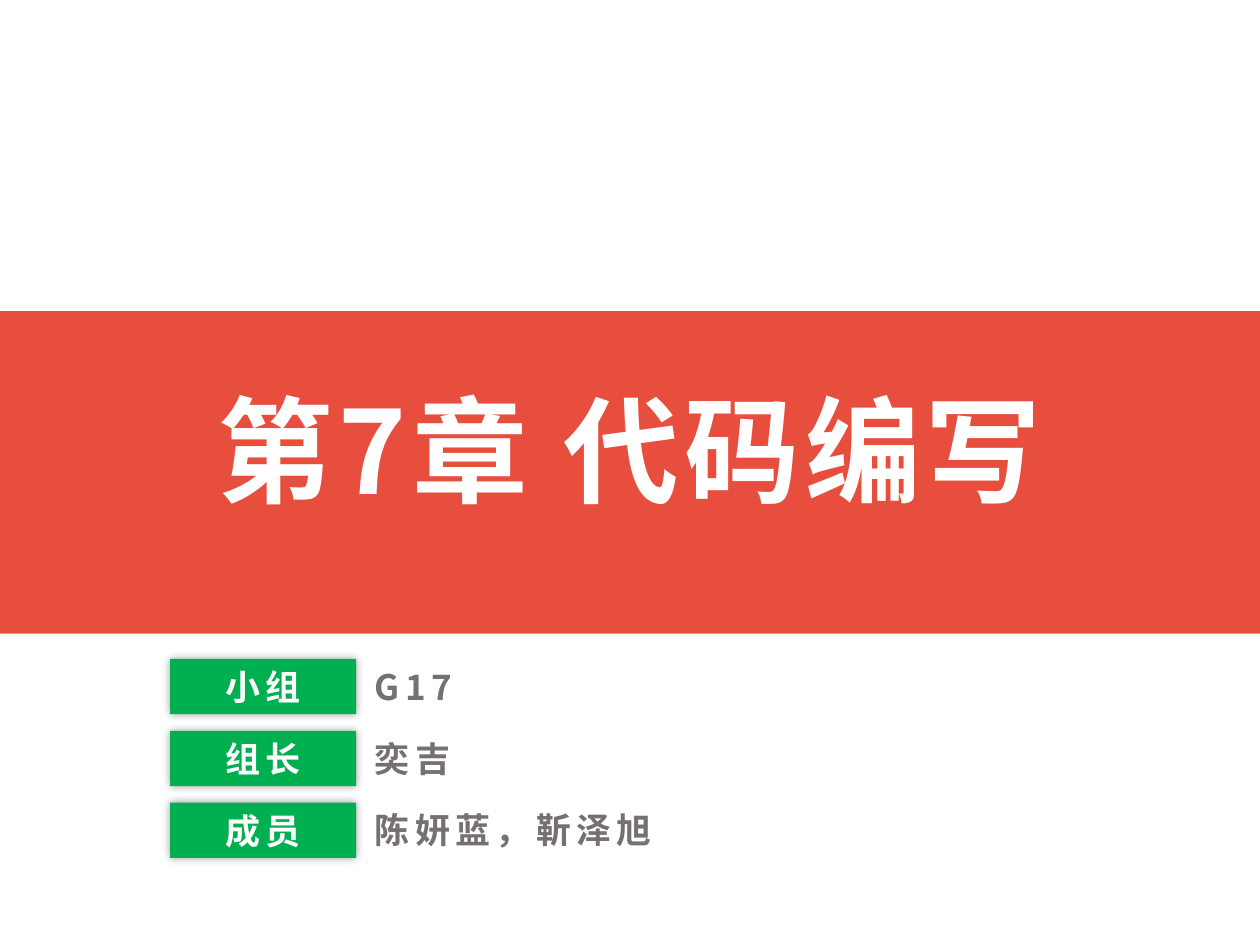
from lxml.etree import SubElement
from pptx import Presentation
from pptx.dml.color import RGBColor
from pptx.enum.shapes import MSO_SHAPE
from pptx.enum.text import MSO_ANCHOR, MSO_AUTO_SIZE, PP_ALIGN
from pptx.oxml.ns import qn
from pptx.util import Inches, Pt

COLORS = {
    "band": "E74E3E",
    "label": "00B050",
    "light": "FFFFFF",
    "value": "767171",
    "shadow": "000000",
}
FONT = "Noto Sans CJK SC"
TEAM = [("小组", "G17"), ("组长", "奕吉"), ("成员", "陈妍蓝，靳泽旭")]


def write(frame, text, size, color, align, anchor=MSO_ANCHOR.TOP):
    frame.text = text
    frame.word_wrap = True
    frame.auto_size = MSO_AUTO_SIZE.NONE
    frame.vertical_anchor = anchor
    paragraph = frame.paragraphs[0]
    paragraph.alignment = align
    font = paragraph.runs[0].font
    font.name = FONT
    font.size = Pt(size)
    font.bold = True
    font.color.rgb = RGBColor.from_string(COLORS[color])
    properties = paragraph.runs[0]._r.get_or_add_rPr()
    properties.set("spc", "300")
    SubElement(properties, qn("a:ea"), typeface=FONT)


def add_block(slide, box, color):
    block = slide.shapes.add_shape(MSO_SHAPE.RECTANGLE, *map(Inches, box))
    block.shadow.inherit = False
    block.fill.solid()
    block.fill.fore_color.rgb = RGBColor.from_string(COLORS[color])
    block.line.fill.background()
    return block


def add_glow(block):
    effects = block._element.spPr.find(qn("a:effectLst"))
    shadow = SubElement(effects, qn("a:outerShdw"), blurRad=str(Pt(5)),
                        dist="0", dir="0", algn="ctr", rotWithShape="0")
    tint = SubElement(shadow, qn("a:srgbClr"), val=COLORS["shadow"])
    SubElement(tint, qn("a:alpha"), val="40000")


def build_banner(slide, left, top, width, height):
    band = add_block(slide, (left, top, width, height), "band")
    title = slide.shapes.title
    band._element.addnext(title._element)
    title.left, title.top = Inches(left + 0.116 * width), Inches(top + 0.19 * height)
    title.width, title.height = Inches(0.768 * width), Inches(0.47 * height)
    write(title.text_frame, "第7章 代码编写", 66, "light", PP_ALIGN.CENTER)


def build_team(slide, left, top, width, height):
    pitch = height / len(TEAM)
    row_height = 0.77 * pitch
    label_width = 0.29 * width
    value_left = left + 0.3 * width
    for row, (role, members) in enumerate(TEAM):
        row_top = top + row * pitch
        label = add_block(slide, (left, row_top, label_width, row_height), "label")
        add_glow(label)
        write(label.text_frame, role, 20, "light", PP_ALIGN.CENTER, MSO_ANCHOR.MIDDLE)
        value = slide.shapes.add_textbox(
            *map(Inches, (value_left, row_top, 0.7 * width, row_height)))
        write(value.text_frame, members, 20, "value", PP_ALIGN.LEFT)


def main():
    deck = Presentation()
    deck.slide_width, deck.slide_height = Inches(10), Inches(7.5)
    slide = deck.slides.add_slide(deck.slide_layouts[5])
    build_banner(slide, 0, 2.47, 10, 2.56)
    build_team(slide, 1.35, 5.23, 5.09, 1.71)
    deck.save("out.pptx")


if __name__ == "__main__":
    main()
